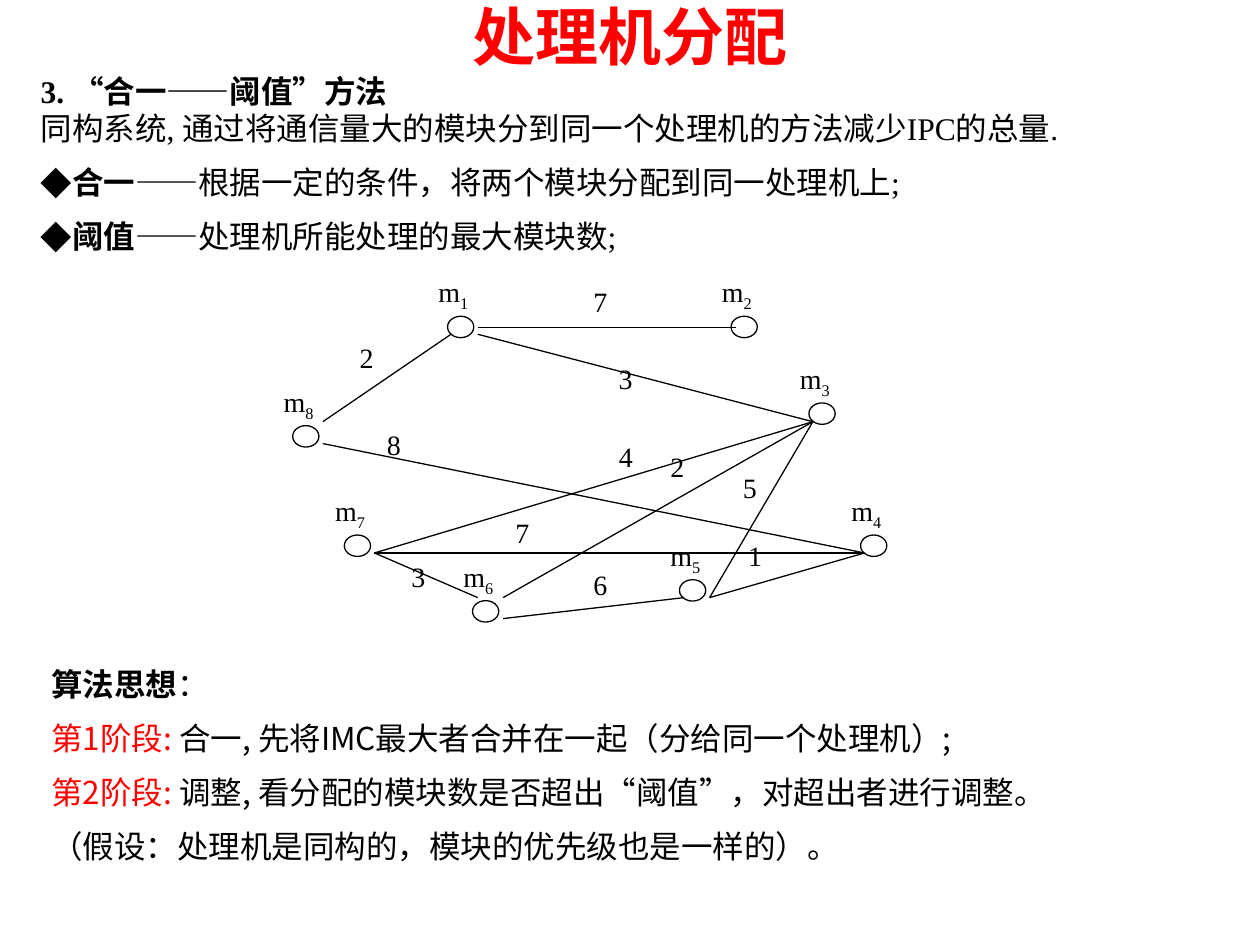
from lxml import etree
from pptx import Presentation
from pptx.dml.color import RGBColor
from pptx.enum import shapes, text
from pptx.oxml import ns
from pptx.util import Pt

BLACK, RED, WHITE = "000000", "FF0000", "FFFFFF"
SERIF, SANS = "Times New Roman", "Noto Sans CJK SC"
ink = RGBColor.from_string


def write(para, pieces, size, font=SERIF):
    """Add runs given as (words, colour, bold, baseline) to a paragraph."""
    for words, colour, bold, baseline in pieces:
        span = para.add_run()
        span.text = words
        span.font.size = Pt(size)
        span.font.name = font
        span.font.bold = bold
        span.font.color.rgb = ink(colour)
        properties = span.font._element
        etree.SubElement(properties, ns.qn("a:ea"), typeface=SANS)
        if baseline:
            properties.set("baseline", str(baseline))


deck = Presentation()
deck.slide_width, deck.slide_height = Pt(720), Pt(540)
page = deck.slides.add_slide(deck.slide_layouts[1])

# Title
title = page.shapes.title
title.left, title.top, title.width, title.height = Pt(0), Pt(0), Pt(720), Pt(40.5)
title.text_frame.auto_size = text.MSO_AUTO_SIZE.NONE
title.text_frame.vertical_anchor = text.MSO_ANCHOR.MIDDLE
title.text_frame.paragraphs[0].alignment = text.PP_ALIGN.CENTER
write(title.text_frame.paragraphs[0], [("处理机分配", RED, True, 0)], 36)

# Method above the graph, algorithm below it: (bulleted, space before, runs)
method = [
    (False, 0, [("3. “合一——阈值”方法", BLACK, True, 0)]),
    (False, 0, [("同构系统, 通过将通信量大的模块分到同一个处理机的方法减少IPC的总量.",
                 BLACK, False, 0)]),
    (True, 9.4, [("合一", BLACK, True, 0),
                 ("——根据一定的条件，将两个模块分配到同一处理机上;", BLACK, False, 0)]),
    (True, 9.4, [("阈值", BLACK, True, 0),
                 ("——处理机所能处理的最大模块数;", BLACK, False, 0)]),
]
algorithm = [
    (False, 0, [("算法思想", BLACK, True, 0), ("：", BLACK, False, 0)]),
    (False, 9.4, [("第1阶段: ", RED, False, 0),
                  ("合一, 先将IMC最大者合并在一起（分给同一个处理机）;", BLACK, False, 0)]),
    (False, 9.4, [("第2阶段: ", RED, False, 0),
                  ("调整, 看分配的模块数是否超出“阈值”，对超出者进行调整。", BLACK, False, 0)]),
    (False, 9.4, [("（假设：处理机是同构的，模块的优先级也是一样的）。", BLACK, False, 0)]),
]
body = page.placeholders[1]
body.left, body.top, body.width, body.height = Pt(16), Pt(35.5), Pt(688), Pt(116.5)
steps = page.shapes.add_textbox(Pt(22.3), Pt(374.5), Pt(650), Pt(127.5))

for box, lines, font in ((body, method, SERIF), (steps, algorithm, SANS)):
    frame = box.text_frame
    frame.word_wrap = True
    frame.auto_size = text.MSO_AUTO_SIZE.NONE
    frame.vertical_anchor = text.MSO_ANCHOR.TOP
    frame.margin_top = Pt(5.6)
    for number, (bulleted, gap, pieces) in enumerate(lines):
        para = frame.add_paragraph() if number else frame.paragraphs[0]
        para.line_spacing = Pt(21.4)
        para.space_before = Pt(gap)
        para.alignment = text.PP_ALIGN.LEFT
        layout = para._p.get_or_add_pPr()
        indent = Pt(18) if bulleted else 0
        layout.set("marL", str(indent))
        layout.set("indent", str(-indent))
        if bulleted:
            etree.SubElement(layout, ns.qn("a:buFont"), typeface=SANS)
            etree.SubElement(layout, ns.qn("a:buChar"), char="◆")
        else:
            etree.SubElement(layout, ns.qn("a:buNone"))
        write(para, pieces, 18, font)

# Module graph: labels as (words, subscript, left, top), modules carry a subscript
weights = [
    ("3", "", 228, 316), ("2", "", 376, 253.5), ("1", "", 420.5, 304),
    ("7", "", 287.5, 291), ("5", "", 417.5, 265.5), ("4", "", 346.5, 247.5),
    ("8", "", 214, 241), ("3", "", 346.5, 203), ("2", "", 198.5, 191),
    ("7", "", 332, 159), ("6", "", 332, 321),
]
modules = [
    ("m", "6", 257.75, 316), ("m", "5", 376, 304), ("m", "4", 479.5, 278.5),
    ("m", "3", 450, 203), ("m", "8", 155, 216), ("m", "2", 405.5, 153.5),
    ("m", "1", 243.5, 153.5), ("m", "7", 184.5, 278.5),
]
graph = page.shapes.add_group_shape()
for words, subscript, left, top in weights + modules:
    width, height = (29.5, 33) if words == "4" else (44.5, 37.5)
    label = graph.shapes.add_shape(shapes.MSO_SHAPE.RECTANGLE,
                                   Pt(left), Pt(top), Pt(width), Pt(height))
    label.shadow.inherit = False
    label.fill.solid()
    label.fill.fore_color.rgb = ink(WHITE)
    label.line.fill.background()
    label.text_frame.word_wrap = True
    label.text_frame.vertical_anchor = text.MSO_ANCHOR.TOP
    para = label.text_frame.paragraphs[0]
    para.alignment = text.PP_ALIGN.JUSTIFY
    pieces = [(words, BLACK, False, 0)]
    if subscript:
        pieces.append((subscript, BLACK, False, -25000))
        node = graph.shapes.add_shape(shapes.MSO_SHAPE.OVAL, Pt(left + 12.25),
                                      Pt(top + 27.25), Pt(15), Pt(12.25))
        node.shadow.inherit = False
        node.fill.solid()
        node.fill.fore_color.rgb = ink(WHITE)
        node.line.color.rgb = ink(BLACK)
        node.line.width = Pt(0.75)
    write(para, pieces, 16)

# Edges end at shared points beside the nodes
at_m3, at_m4, at_m5, at_m7 = (464.5, 241), (494, 316), (405.5, 341.5), (214, 316)
edges = [
    ((273, 187.25), (420.5, 187.25)), ((257.75, 191), (184.5, 241)),
    ((273, 191), at_m3), (at_m3, (287.5, 341.5)), (at_m7, (273, 341.5)),
    (at_m4, at_m5), (at_m3, at_m5), (at_m3, at_m7),
    ((184.5, 253.5), at_m4), (at_m7, at_m4), ((287.5, 353.5), (391, 341.5)),
]
for start, end in edges:
    edge = graph.shapes.add_connector(shapes.MSO_CONNECTOR.STRAIGHT,
                                      *map(Pt, start + end))
    edge.line.color.rgb = ink(BLACK)
    edge.line.width = Pt(0.75)
    etree.SubElement(edge._element.spPr, ns.qn("a:effectLst"))

deck.save("out.pptx")
